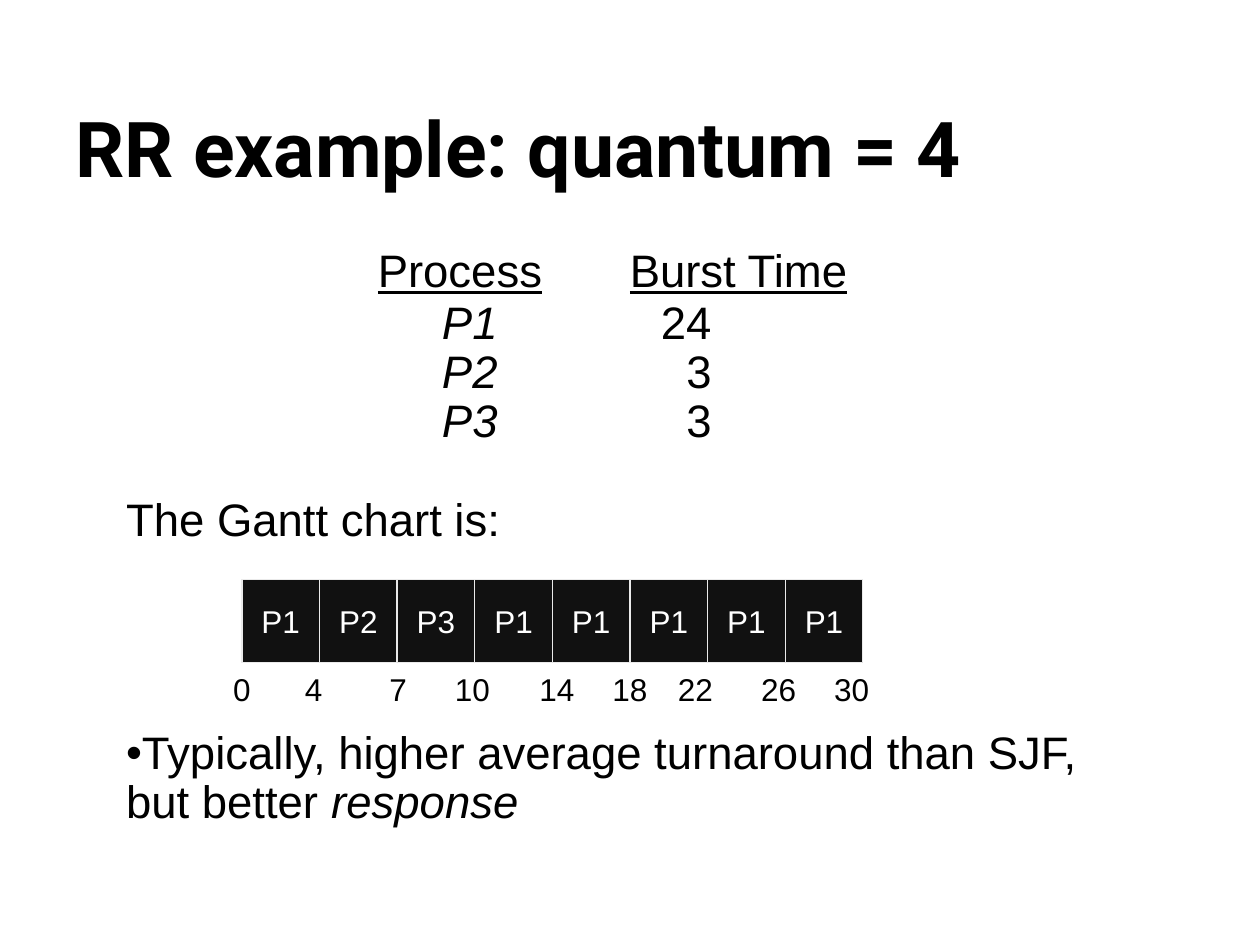
import pptx
import pptx.util
import pptx.dml.color
import pptx.enum.shapes
import pptx.enum.text
import pptx.oxml
import pptx.oxml.ns

Inches = pptx.util.Inches
Pt = pptx.util.Pt
ALIGN = pptx.enum.text.PP_ALIGN
ANCHOR = pptx.enum.text.MSO_ANCHOR

BLACK = pptx.dml.color.RGBColor(0x00, 0x00, 0x00)
WHITE = pptx.dml.color.RGBColor(0xFF, 0xFF, 0xFF)
BAR_FILL = pptx.dml.color.RGBColor(0x11, 0x11, 0x11)
BAR_LINE = pptx.dml.color.RGBColor(0xEA, 0xEA, 0xEA)

HEADER_TABS = [(2, "l"), (4, "l")]
ROW_TABS = [(2.51, "l"), (4.65, "r")]
BURSTS = [("P1", "24"), ("P2", "3"), ("P3", "3")]
SCHEDULE = ["P1", "P2", "P3", "P1", "P1", "P1", "P1", "P1"]
TICKS = [("0", 1.92), ("4", 2.49), ("7", 3.16), ("10", 3.75), ("14", 4.42),
         ("18", 5), ("22", 5.52), ("26", 6.18), ("30", 6.76)]
BAR_LEFT, BAR_TOP, BAR_PITCH, BAR_HEIGHT = 1.92, 4.6, 0.616, 0.66


class SlideWriter:
    body_font = "Arial"
    title_font = "Roboto"
    body_size = 26
    label_size = 18
    namespace = pptx.oxml.ns.nsdecls("a")

    def __init__(self, slide):
        self.slide = slide

    def run(self, paragraph, text, size, color=BLACK, font=body_font, **styles):
        run = paragraph.add_run()
        run.text = text
        run.font.name = font
        run.font.size = Pt(size)
        run.font.color.rgb = color
        for style, value in styles.items():
            setattr(run.font, style, value)

    def place(self, shape, left, top, width, height):
        shape.left, shape.top = Inches(left), Inches(top)
        shape.width, shape.height = Inches(width), Inches(height)

    def title(self, text, *box):
        heading = self.slide.shapes.title
        self.place(heading, *box)
        heading.text_frame.vertical_anchor = ANCHOR.BOTTOM
        paragraph = heading.text_frame.paragraphs[0]
        paragraph.alignment = ALIGN.LEFT
        self.run(paragraph, text, 44, font=self.title_font, bold=True)

    def body(self, *box):
        content = self.slide.placeholders[1]
        self.place(content, *box)
        content.text_frame.auto_size = pptx.enum.text.MSO_AUTO_SIZE.NONE
        return content.text_frame

    def text_box(self, *box):
        frame = self.slide.shapes.add_textbox(*map(Inches, box)).text_frame
        frame.word_wrap = True
        return frame

    def line(self, frame, runs, before=0):
        first = frame.paragraphs[0]
        paragraph = frame.add_paragraph() if first.runs else first
        paragraph.line_spacing = 0.9
        paragraph.space_before = Pt(before)
        for text, styles in runs:
            self.run(paragraph, text, **{"size": self.body_size, **styles})
        return paragraph._p.get_or_add_pPr()

    def tabbed_line(self, frame, runs, tabs):
        properties = self.line(frame, runs)
        stops = "".join(f'<a:tab pos="{Inches(at)}" algn="{side}"/>' for at, side in tabs)
        properties.append(pptx.oxml.parse_xml(f"<a:tabLst {self.namespace}>{stops}</a:tabLst>"))

    def list_line(self, frame, runs, before=0, bullet=None):
        properties = self.line(frame, runs, before)
        properties.set("marL", "0")
        properties.set("indent", "0")
        mark = f'buChar {self.namespace} char="{bullet}"' if bullet else f"buNone {self.namespace}"
        properties.append(pptx.oxml.parse_xml(f"<a:{mark}/>"))

    def label(self, shape, text, color):
        frame = shape.text_frame
        frame.word_wrap = False
        frame.vertical_anchor = ANCHOR.MIDDLE
        frame.paragraphs[0].alignment = ALIGN.CENTER
        self.run(frame.paragraphs[0], text, self.label_size, color)

    def bar(self, process, *box):
        bar = self.slide.shapes.add_shape(
            pptx.enum.shapes.MSO_SHAPE.RECTANGLE, *map(Inches, box))
        bar.shadow.inherit = False
        bar.fill.solid()
        bar.fill.fore_color.rgb = BAR_FILL
        bar.line.color.rgb = BAR_LINE
        bar.line.width = Pt(0.75)
        self.label(bar, process, WHITE)

    def tick(self, time, center, top):
        width = 0.22 + 0.14 * len(time)
        tick = self.slide.shapes.add_textbox(
            Inches(center - width / 2), Inches(top), Inches(width), Inches(0.4))
        self.label(tick, time, BLACK)


def main():
    deck = pptx.Presentation()
    deck.slide_width, deck.slide_height = Inches(10), Inches(7.5)
    writer = SlideWriter(deck.slides.add_slide(deck.slide_layouts[1]))

    writer.title("RR example: quantum = 4", 0.5, 0.33, 9, 1.25)

    bursts = writer.text_box(0.9, 1.85, 8.04, 1.8)
    writer.tabbed_line(bursts, [("\t", {"size": 32}), ("Process", {"underline": True}),
                                ("\t", {}), ("Burst Time", {"underline": True})], HEADER_TABS)
    for process, burst in BURSTS:
        writer.tabbed_line(bursts, [("\t" + process, {"italic": True}), ("\t" + burst, {})],
                           ROW_TABS)

    remarks = writer.body(0.9, 3.9, 8.04, 2.85)
    writer.list_line(remarks, [("The Gantt chart is:", {})])
    writer.list_line(remarks, [
        ("Typically, higher average turnaround than SJF, but better ", {}),
        ("response", {"italic": True})], before=105, bullet="•")

    for index, process in enumerate(SCHEDULE):
        writer.bar(process, BAR_LEFT + index * BAR_PITCH, BAR_TOP, BAR_PITCH, BAR_HEIGHT)
    for time, center in TICKS:
        writer.tick(time, center, 5.27)

    deck.save("out.pptx")


if __name__ == "__main__":
    main()
